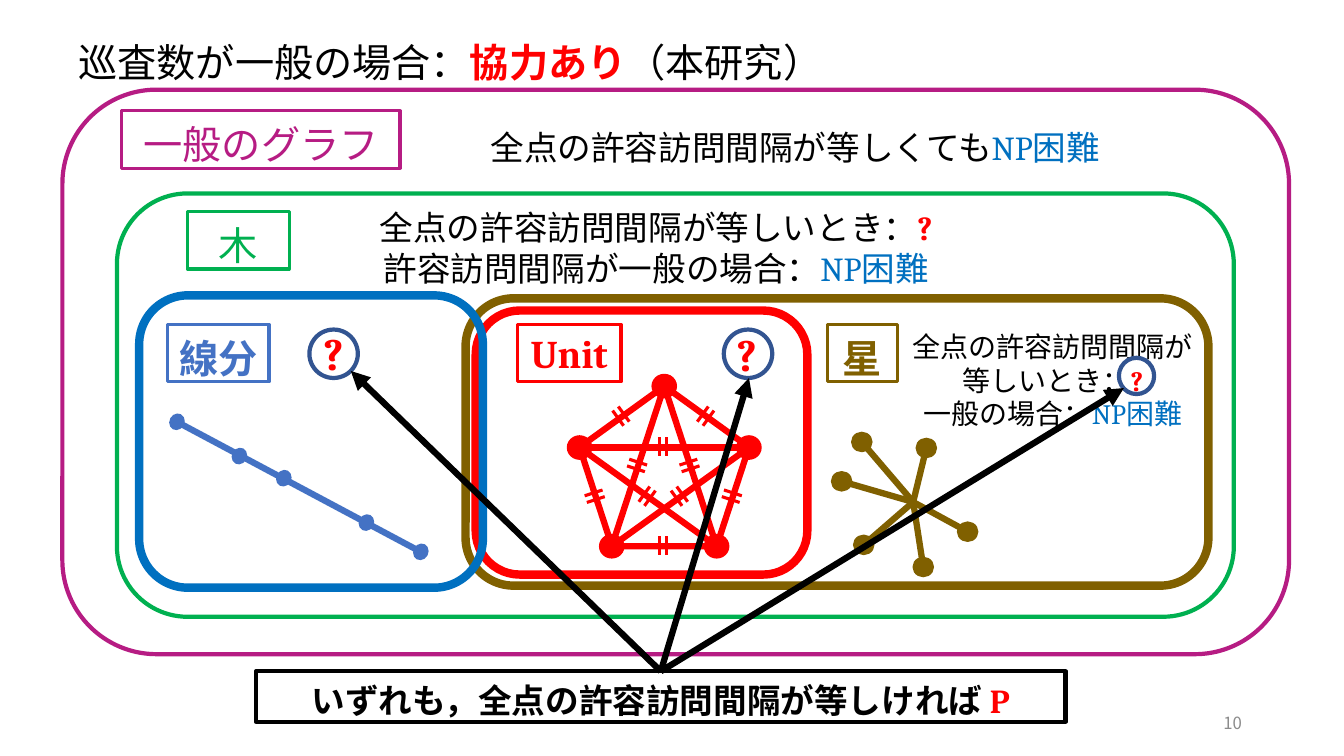
from dataclasses import dataclass
from itertools import combinations
from math import hypot

from lxml import etree
from pptx import Presentation
from pptx import util as u
from pptx.dml.color import RGBColor
from pptx.enum import shapes, text
from pptx.oxml.ns import qn

COLORS = {
    "black": "000000", "white": "FFFFFF", "red": "FF0000", "blue": "0070C0",
    "segment": "4472C4", "graph": "B61C83", "tree": "00B050",
    "star": "806000", "ring": "325491", "gray": "8C8C8C",
}
JAPANESE, LATIN = "Noto Sans CJK JP", "Cambria"
KIND = shapes.MSO_SHAPE
LEFT, CENTER, RIGHT = text.PP_ALIGN.LEFT, text.PP_ALIGN.CENTER, text.PP_ALIGN.RIGHT
TOP, MIDDLE = text.MSO_ANCHOR.TOP, text.MSO_ANCHOR.MIDDLE

Point = tuple[float, float]
Area = tuple[float, float, float, float]


@dataclass
class Span:
    words: str
    color: str = "black"
    bold: bool = False
    font: str = JAPANESE


@dataclass
class Frame:
    area: Area
    color: str
    weight: float


@dataclass
class Label:
    left: float
    top: float
    width: float
    span: Span


@dataclass
class Note:
    area: Area
    size: float
    paras: list[list[Span]]
    align: text.PP_ALIGN = CENTER
    wrap: bool = True
    anchor: text.MSO_ANCHOR = TOP


def rgb(name: str) -> RGBColor:
    return RGBColor.from_string(COLORS[name])


def write(box, paras: list[list[Span]], size: float, align=CENTER, anchor=TOP, wrap=True) -> None:
    frame = box.text_frame
    frame.word_wrap = wrap
    frame.auto_size = text.MSO_AUTO_SIZE.SHAPE_TO_FIT_TEXT
    frame.vertical_anchor = anchor
    japanese = any(span.font == JAPANESE for spans in paras for span in spans)
    # Japanese lines sit a little lower in a fixed line height
    drop = 0.11 * size if japanese else 0
    frame.margin_top, frame.margin_bottom = u.Pt(3.6 + drop), u.Pt(3.6 - drop)
    for index, spans in enumerate(paras):
        para = frame.add_paragraph() if index else frame.paragraphs[0]
        para.alignment = align
        if japanese:
            para.line_spacing = u.Pt(1.2 * size)
        for span in spans:
            run = para.add_run()
            run.text = span.words
            run.font.size = u.Pt(size)
            run.font.bold = span.bold
            run.font.name = span.font
            run.font.color.rgb = rgb(span.color)
            latin = run.font._element.find(qn("a:latin"))
            east = etree.Element(qn("a:ea"), typeface=span.font)
            latin.addnext(east)


def add_shape(page, kind, area: Area, line: str = "", weight: float = 1, fill: str = ""):
    shape = page.shapes.add_shape(kind, *map(u.Pt, area))
    shape.shadow.inherit = False
    if fill:
        shape.fill.solid()
        shape.fill.fore_color.rgb = rgb(fill)
    else:
        shape.fill.background()
    if line:
        shape.line.color.rgb = rgb(line)
        shape.line.width = u.Pt(weight)
    else:
        shape.line.fill.background()
    return shape


def add_line(page, start: Point, end: Point, color: str, weight: float = 4.5):
    line = page.shapes.add_connector(shapes.MSO_CONNECTOR.STRAIGHT, *map(u.Pt, start + end))
    line.line.color.rgb = rgb(color)
    line.line.width = u.Pt(weight)
    etree.SubElement(line._element.spPr, qn("a:effectLst"))
    return line


def add_frame(page, frame: Frame) -> None:
    add_shape(page, KIND.ROUNDED_RECTANGLE, frame.area, frame.color, frame.weight)


def add_label(page, label: Label) -> None:
    box = add_shape(page, KIND.RECTANGLE, (label.left, label.top, label.width, 41), label.span.color, 2.25)
    write(box, [[label.span]], 28, anchor=MIDDLE)


def add_note(page, note: Note) -> None:
    box = page.shapes.add_textbox(*map(u.Pt, note.area))
    write(box, note.paras, note.size, note.align, note.anchor, note.wrap)


def add_node(page, center: Point, width: float, height: float, color: str, outlined: bool = True):
    area = (center[0] - width / 2, center[1] - height / 2, width, height)
    return add_shape(page, KIND.OVAL, area, color if outlined else "", 1, color)


def add_ticks(page, start: Point, end: Point) -> None:
    """Two short equal-length marks across the middle of an edge."""
    length = hypot(end[0] - start[0], end[1] - start[1])
    dx, dy = (end[0] - start[0]) / length, (end[1] - start[1]) / length
    for shift in (-2.5, 2.5):
        x = (start[0] + end[0]) / 2 - 0.7 + shift * dx
        y = (start[1] + end[1]) / 2 - 0.5 + shift * dy
        add_line(page, (x - 6.7 * dy, y + 6.7 * dx), (x + 6.7 * dy, y - 6.7 * dx), "red", 2.25)


HARD = [Span("NP", "blue", font=LATIN), Span("困難", "blue")]
QUERY = Span("?", "red", True, LATIN)

FRAMES = [
    Frame((339.8, 221.8, 236.9, 188.6), "red", 6),
    Frame((332.6, 213.1, 530.6, 205.2), "star", 6),
    Frame((99.4, 211, 245.5, 208.8), "blue", 6),
    Frame((44.6, 64.1, 876.2, 403.2), "graph", 3),
    Frame((83.5, 138.2, 797.8, 302.4), "tree", 3),
]
LABELS = [
    Label(119.5, 231.8, 72.7, Span("線分", "segment", True)),
    Label(87.1, 79.2, 198.7, Span("一般のグラフ", "graph")),
    Label(133.9, 151.2, 72.7, Span("木", "tree")),
    Label(591.1, 231.8, 49.7, Span("星", "star", True)),
    Label(369.4, 231.8, 74.2, Span("Unit", "red", True, LATIN)),
]
NOTES = [
    Note((49, 20.9, 551.5, 41), 28, [[
        Span("巡査数が一般の場合："), Span("協力あり", "red", True), Span("（本研究）")]], LEFT, False),
    Note((288.7, 84.2, 558.7, 36), 24, [[Span("全点の許容訪問間隔が等しくても"), *HARD]]),
    Note((206.6, 141.8, 524.2, 65.5), 24, [
        [Span("全点の許容訪問間隔が等しいとき："), QUERY],
        [Span("許容訪問間隔が一般の場合："), *HARD]]),
    Note((640.8, 229.7, 222.5, 79.9), 20, [
        [Span("全点の許容訪問間隔が等しいとき："), QUERY],
        [Span("一般の場合："), *HARD]]),
    Note((223.9, 229, 28.1, 46), 32, [[QUERY]], LEFT, False),
    Note((519.1, 229.7, 28.1, 46), 32, [[QUERY]], LEFT, False),
    Note((678.2, 500.4, 216, 28.8), 12, [[Span("10", "gray")]], RIGHT, True, MIDDLE),
]
SEGMENT_NODES = [(126.4, 301.3), (171, 325.8), (202.7, 341.6), (261.7, 373.3), (300.6, 394.2)]
UNIT_NODES = [(474.5, 275.8), (535, 319.7), (511.9, 390.2), (437, 390.2), (414, 319.7)]
STAR_HUB = (652.3, 358.6)
STAR_LEAVES = [(615.6, 315.7), (661.7, 320), (691.2, 379.8), (659.5, 405), (617, 389.2), (601.2, 343.8)]
RINGS = [(799.2, 255.6, 25.2, 25.9), (517, 235.4, 34.6, 34.6), (221, 235.4, 34.6, 34.6)]
ARROW_TIPS = [(250.6, 265), (535, 270), (802.8, 277.2)]


def main() -> None:
    deck = Presentation()
    deck.slide_width, deck.slide_height = u.Pt(960), u.Pt(540)
    page = deck.slides.add_slide(deck.slide_layouts[6])

    # Nested graph classes
    for frame in FRAMES:
        add_frame(page, frame)
    for label in LABELS:
        add_label(page, label)

    # Line segment graph
    add_line(page, SEGMENT_NODES[0], SEGMENT_NODES[-1], "segment")
    for center in SEGMENT_NODES:
        add_node(page, center, 10.8, 12.2, "segment", False).rotation = 28

    # Unit graph: complete graph with equal edges
    add_shape(page, KIND.REGULAR_PENTAGON, (414, 275.8, 121, 114.4), "red", 4.5)
    for index, start in enumerate(UNIT_NODES):
        add_line(page, start, UNIT_NODES[(index + 2) % 5], "red")
    for center in UNIT_NODES:
        add_node(page, center, 17.3, 16.6, "red")
    for start, end in combinations(UNIT_NODES, 2):
        add_ticks(page, start, end)

    # Texts
    for note in NOTES:
        add_note(page, note)

    # Star graph
    for leaf in STAR_LEAVES:
        add_line(page, STAR_HUB, leaf, "star")
    for leaf in STAR_LEAVES:
        add_node(page, leaf, 14.4, 13.7, "star")

    # Conclusion with arrows to the ringed question marks
    conclusion = add_shape(page, KIND.RECTANGLE, (182.9, 479.5, 578.2, 36), "black", 3, "white")
    write(conclusion, [[Span("いずれも，全点の許容訪問間隔が等しければ ", "black", True), Span("P", "red", True, LATIN)]], 24)
    for area in RINGS:
        add_shape(page, KIND.OVAL, area, "ring", 3)
    for tip in ARROW_TIPS:
        arrow = add_line(page, (472, 479.5), tip, "black")
        arrow.begin_connect(conclusion, 0)
        etree.SubElement(arrow.line._get_or_add_ln(), qn("a:tailEnd"), type="triangle")

    deck.save("out.pptx")


if __name__ == "__main__":
    main()
